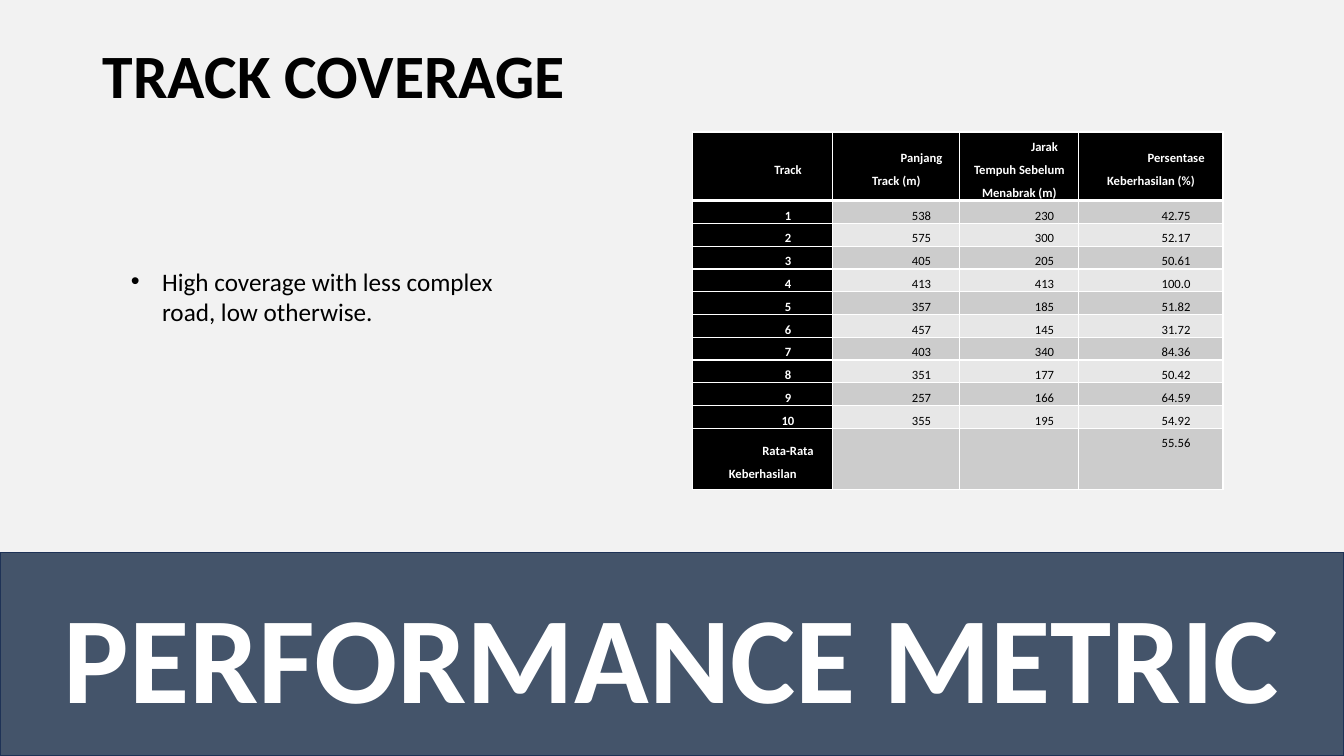
from lxml import etree
from pptx import Presentation
from pptx.dml.color import RGBColor
from pptx.enum import shapes, text
from pptx.oxml import ns
from pptx.util import Inches, Pt

COLORS = {
    "background": "F2F2F2", "ink": "000000", "white": "FFFFFF",
    "band": "44546A", "band_line": "1E3256",
    "odd_row": "CCCCCC", "even_row": "E7E7E7",
}
HEADINGS = ["Track", "Panjang Track (m)", "Jarak Tempuh Sebelum Menabrak (m)",
            "Persentase Keberhasilan (%)"]
TRACKS = [
    ("538", "230", "42.75"), ("575", "300", "52.17"), ("405", "205", "50.61"),
    ("413", "413", "100.0"), ("357", "185", "51.82"), ("457", "145", "31.72"),
    ("403", "340", "84.36"), ("351", "177", "50.42"), ("257", "166", "64.59"),
    ("355", "195", "54.92"),
]
AVERAGE = ("Rata-Rata Keberhasilan", "", "", "55.56")
COLUMN_WIDTHS = [1.39, 1.26, 1.18, 1.43]
HEADER_HEIGHT, TRACK_HEIGHT, AVERAGE_HEIGHT = 0.68, 0.22, 0.61


def rgb(name):
    return RGBColor.from_string(COLORS[name])


def style(paragraph, size, color, bold=False):
    paragraph.font.name = "Calibri"
    paragraph.font.size = Pt(size)
    paragraph.font.bold = bold
    paragraph.font.color.rgb = rgb(color)


def indent(paragraph, margin, first_line):
    properties = paragraph._p.get_or_add_pPr()
    properties.set("marL", str(Inches(margin)))
    properties.set("indent", str(Inches(first_line)))
    return properties


def add_border(cell, side, width):
    properties = cell._tc.get_or_add_tcPr()
    line = etree.SubElement(properties, ns.qn(f"a:ln{side}"), w=str(Pt(width)))
    fill = etree.SubElement(line, ns.qn("a:solidFill"))
    etree.SubElement(fill, ns.qn("a:srgbClr"), val=COLORS["white"])


def place_title(slide, left, top, width, height):
    title = slide.shapes.title
    title.left, title.top, title.width, title.height = map(
        Inches, (left, top, width, height))
    frame = title.text_frame
    frame.text = "TRACK COVERAGE"
    frame.vertical_anchor = text.MSO_ANCHOR.TOP
    heading = frame.paragraphs[0]
    heading.alignment = text.PP_ALIGN.LEFT
    heading.line_spacing = 0.9
    style(heading, 44, "ink", True)


def add_finding(slide, left, top, width, height):
    frame = slide.shapes.add_textbox(
        *map(Inches, (left, top, width, height))).text_frame
    frame.word_wrap = True
    frame.text = "High coverage with less complex road, low otherwise."
    finding = frame.paragraphs[0]
    style(finding, 18, "ink")
    properties = indent(finding, 0.31, -0.31)
    bullet_font = etree.Element(ns.qn("a:buFont"), typeface="Arial")
    bullet = etree.Element(ns.qn("a:buChar"), char="•")
    properties.insert(0, bullet_font)
    bullet_font.addnext(bullet)


def add_band(slide, left, top, width, height):
    band = slide.shapes.add_shape(
        shapes.MSO_SHAPE.RECTANGLE, *map(Inches, (left, top, width, height)))
    band.shadow.inherit = False
    band.fill.solid()
    band.fill.fore_color.rgb = rgb("band")
    band.line.color.rgb = rgb("band_line")
    band.line.width = Pt(1)
    frame = band.text_frame
    frame.text = "PERFORMANCE METRIC"
    frame.vertical_anchor = text.MSO_ANCHOR.MIDDLE
    frame.paragraphs[0].alignment = text.PP_ALIGN.CENTER
    style(frame.paragraphs[0], 88, "white", True)


def fill_cell(cell, value, row, column):
    is_heading = row == 0 or column == 0
    cell.margin_left = cell.margin_right = Inches(0.05)
    cell.margin_top = cell.margin_bottom = 0
    cell.vertical_anchor = (
        text.MSO_ANCHOR.MIDDLE if is_heading else text.MSO_ANCHOR.TOP)
    for side in "LRTB":
        under_header = (row, side) in ((0, "B"), (1, "T"))
        add_border(cell, side, 3 if under_header else 1)
    cell.fill.solid()
    cell.fill.fore_color.rgb = rgb(
        "ink" if is_heading else "odd_row" if row % 2 else "even_row")
    cell.text = value
    entry = cell.text_frame.paragraphs[0]
    entry.alignment = text.PP_ALIGN.CENTER
    entry.line_spacing = 1.5
    entry.space_after = Pt(12)
    indent(entry, 0, 0.5)
    style(entry, 9, "white" if is_heading else "ink", is_heading)


def add_coverage_table(slide, left, top):
    rows = [HEADINGS]
    rows += [(str(number), *values) for number, values in enumerate(TRACKS, 1)]
    rows.append(AVERAGE)
    heights = [HEADER_HEIGHT] + [TRACK_HEIGHT] * len(TRACKS) + [AVERAGE_HEIGHT]
    coverage = slide.shapes.add_table(
        len(rows), len(HEADINGS), Inches(left), Inches(top),
        Inches(sum(COLUMN_WIDTHS)), Inches(sum(heights))).table
    for column, width in zip(coverage.columns, COLUMN_WIDTHS):
        column.width = Inches(width)
    for row, (values, height) in enumerate(zip(rows, heights)):
        coverage.rows[row].height = Inches(height)
        for column, value in enumerate(values):
            fill_cell(coverage.cell(row, column), value, row, column)


def main():
    deck = Presentation()
    deck.slide_width, deck.slide_height = Inches(13.33), Inches(7.5)
    slide = deck.slides.add_slide(deck.slide_layouts[5])
    slide.background.fill.solid()
    slide.background.fill.fore_color.rgb = rgb("background")
    place_title(slide, 0.92, 0.4, 11.5, 1.45)
    add_finding(slide, 1.2, 2.59, 4.03, 0.71)
    add_band(slide, 0, 5.48, 13.33, 2.02)
    add_coverage_table(slide, 6.87, 1.31)
    deck.save("out.pptx")


if __name__ == "__main__":
    main()
